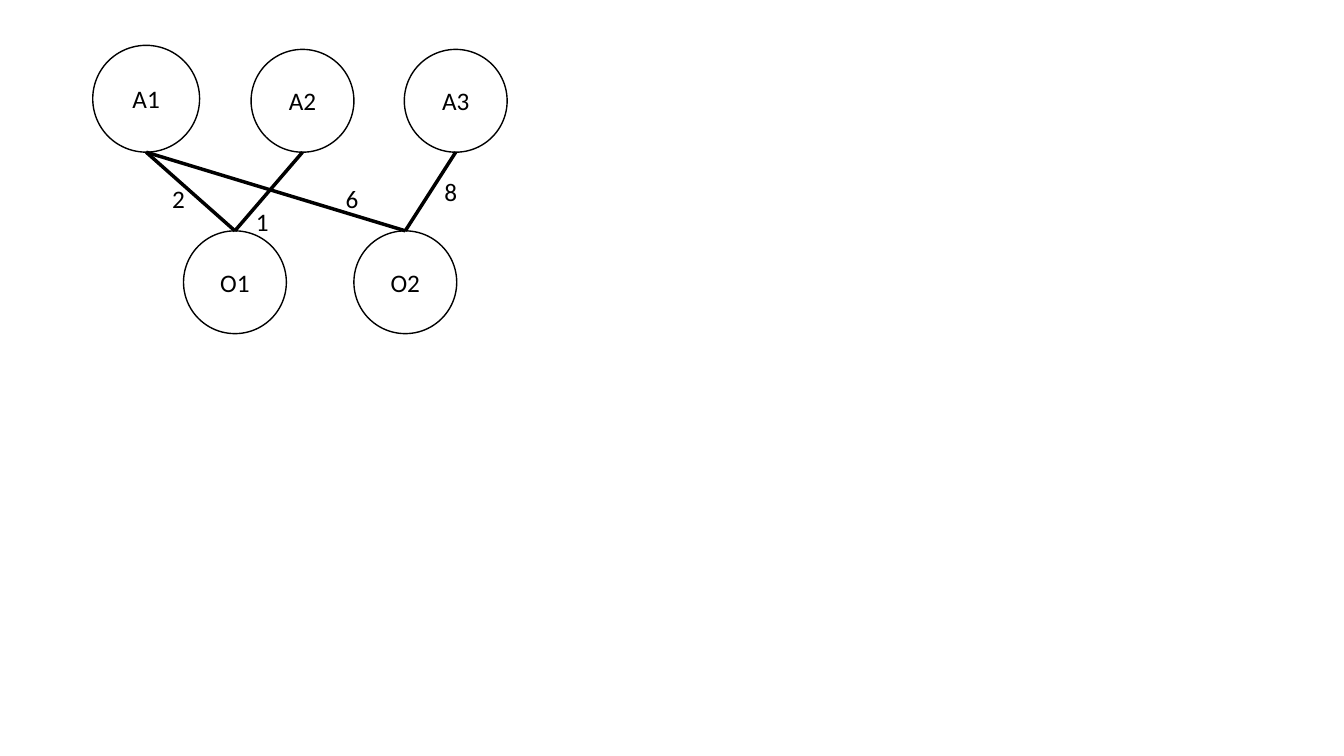
from lxml import etree
from pptx import Presentation
from pptx.dml.color import RGBColor
from pptx.enum import shapes, text
from pptx.oxml import ns
from pptx.util import Inches, Pt

FONT, FONT_SIZE = "Calibri", 18
BLACK, WHITE = "000000", "FFFFFF"

# name: (left, top, diameter)
NODES = {
    "A1": (0.92, 0.45, 1.06),
    "A2": (2.49, 0.49, 1.02),
    "A3": (4.01, 0.49, 1.02),
    "O1": (1.82, 2.29, 1.02),
    "O2": (3.51, 2.29, 1.02),
}
# upper node, lower node, weight, left and top of the weight
EDGES = [
    ("A1", "O1", "2", 1.61, 1.77),
    ("A1", "O2", "6", 3.33, 1.77),
    ("A2", "O1", "1", 2.44, 2.0),
    ("A3", "O2", "8", 4.31, 1.7),
]
WEIGHT_WIDTH, WEIGHT_HEIGHT = 0.48, 0.4


def color(value):
    return RGBColor.from_string(value)


def write(frame, words, align):
    frame.text = words
    paragraph = frame.paragraphs[0]
    paragraph.alignment = align
    paragraph.font.name = FONT
    paragraph.font.size = Pt(FONT_SIZE)
    paragraph.font.color.rgb = color(BLACK)


def draw_line(line, width):
    line.color.rgb = color(BLACK)
    line.width = Pt(width)


def add_node(slide, name):
    left, top, diameter = NODES[name]
    node = slide.shapes.add_shape(
        shapes.MSO_SHAPE.FLOWCHART_CONNECTOR,
        Inches(left), Inches(top), Inches(diameter), Inches(diameter))
    node.shadow.inherit = False
    node.fill.solid()
    node.fill.fore_color.rgb = color(WHITE)
    draw_line(node.line, 1)
    node.text_frame.vertical_anchor = text.MSO_ANCHOR.MIDDLE
    write(node.text_frame, name, text.PP_ALIGN.CENTER)


def add_edge(slide, upper, lower):
    """Join the bottom of the upper node to the top of the lower one."""
    left, top, diameter = NODES[upper]
    end_left, end_top, end_diameter = NODES[lower]
    edge = slide.shapes.add_connector(
        shapes.MSO_CONNECTOR.STRAIGHT,
        Inches(left + diameter / 2), Inches(top + diameter),
        Inches(end_left + end_diameter / 2), Inches(end_top))
    draw_line(edge.line, 2.5)
    etree.SubElement(edge._element.spPr, ns.qn("a:effectLst"))


def add_weight(slide, weight, left, top):
    box = slide.shapes.add_textbox(
        Inches(left), Inches(top), Inches(WEIGHT_WIDTH), Inches(WEIGHT_HEIGHT))
    box.text_frame.word_wrap = True
    box.text_frame.auto_size = text.MSO_AUTO_SIZE.SHAPE_TO_FIT_TEXT
    write(box.text_frame, weight, text.PP_ALIGN.LEFT)


def main():
    deck = Presentation()
    deck.slide_width, deck.slide_height = Inches(13.33), Inches(7.5)
    slide = deck.slides.add_slide(deck.slide_layouts.get_by_name("Blank"))
    for name in NODES:
        add_node(slide, name)
    for upper, lower, weight, left, top in EDGES:
        add_edge(slide, upper, lower)
        add_weight(slide, weight, left, top)
    deck.save("out.pptx")


if __name__ == "__main__":
    main()
